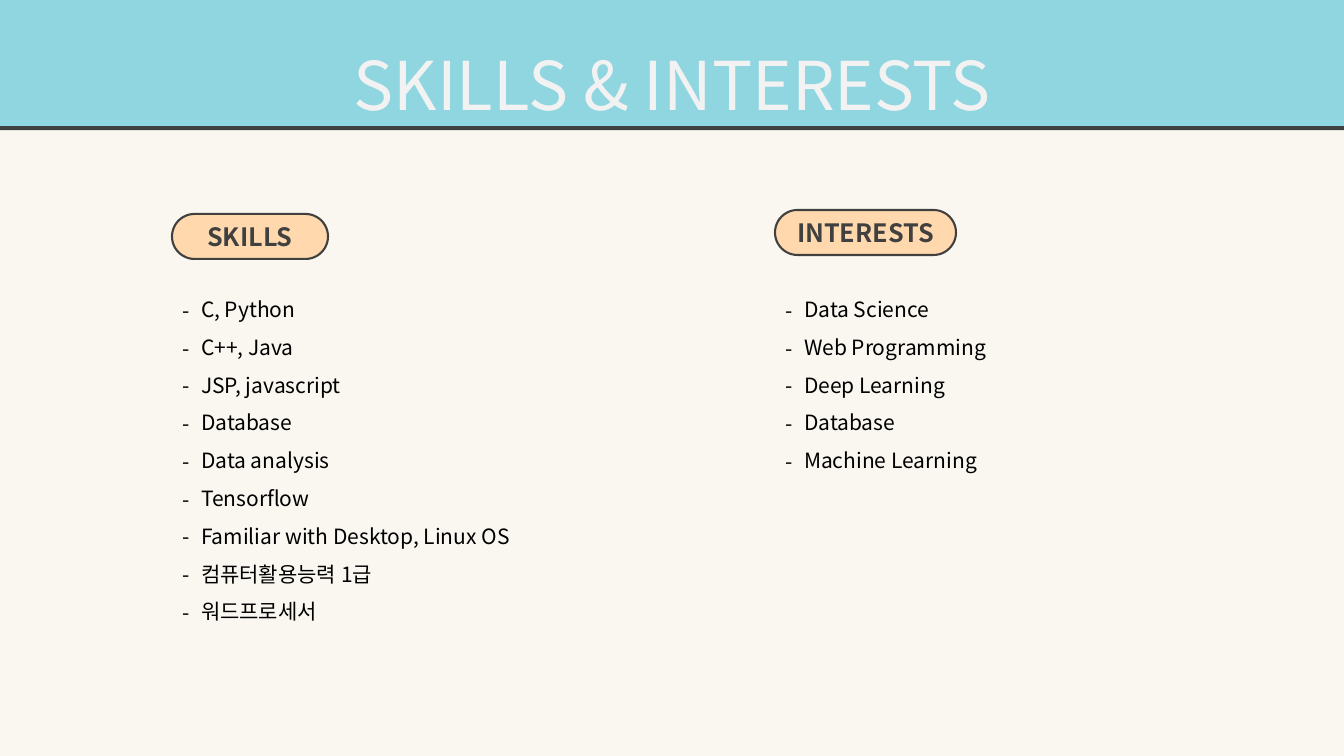
from dataclasses import dataclass

from pptx import Presentation
from pptx.dml.color import RGBColor as RGB
from pptx.enum.shapes import MSO_SHAPE as SHAPE
from pptx.enum.text import MSO_ANCHOR as ANCHOR, MSO_AUTO_SIZE as AUTO, PP_ALIGN as ALIGN
from pptx.oxml import parse_xml
from pptx.oxml.ns import nsdecls, qn
from pptx.util import Emu, Pt

SLIDE_W, SLIDE_H = 1344, 756
SCALE = 12192000 / SLIDE_W


@dataclass(frozen=True)
class Theme:
    font: str = "Noto Sans CJK KR"
    paper: RGB = RGB.from_string("F9F7EF")
    band: RGB = RGB.from_string("90D6E0")
    pill: RGB = RGB.from_string("FFD9AD")
    ink: RGB = RGB.from_string("404040")
    light: RGB = RGB.from_string("F2F2F2")
    black: RGB = RGB.from_string("000000")
    title_size: Pt = Pt(48)
    pill_size: Pt = Pt(18)
    list_size: Pt = Pt(15)


THEME = Theme()


def px(n):
    return Emu(round(n * SCALE))


def set_all(obj, values):
    for name, value in values.items():
        setattr(obj, name, value)


def place(sp, box):
    set_all(sp, dict(zip(("left", "top", "width", "height"), map(px, box))))


def fill(target, color):
    target.fill.solid()
    target.fill.fore_color.rgb = color


def write(p, text, size, color, bold=False, **para):
    set_all(p, {"space_before": Pt(0), **para})
    r = p.add_run()
    r.text = text
    set_all(r.font, {"name": THEME.font, "size": size, "bold": bold})
    r.font.color.rgb = color
    ea = parse_xml(f'<a:ea {nsdecls("a")} typeface="{THEME.font}"/>')
    r.font._element.find(qn("a:latin")).addnext(ea)


def add_header(sp, box, text):
    place(sp, box)
    fill(sp, THEME.band)
    sp._element.spPr.append(parse_xml(
        f'<a:effectLst {nsdecls("a")}><a:outerShdw dist="{Pt(3)}" dir="5400000" '
        f'algn="t" rotWithShape="0"><a:srgbClr val="{THEME.ink}"/></a:outerShdw></a:effectLst>'))
    tf = sp.text_frame
    set_all(tf, {"word_wrap": True, "auto_size": AUTO.NONE, "vertical_anchor": ANCHOR.MIDDLE})
    write(tf.paragraphs[0], text, THEME.title_size, THEME.light,
          alignment=ALIGN.CENTER, line_spacing=1.5)


def add_pill(slide, box, text):
    sp = slide.shapes.add_shape(SHAPE.ROUNDED_RECTANGLE, *map(px, box))
    sp.shadow.inherit = False
    sp.adjustments[0] = 0.5
    fill(sp, THEME.pill)
    sp.line.color.rgb = THEME.ink
    sp.line.width = Pt(1.5)
    sp.text_frame.vertical_anchor = ANCHOR.MIDDLE
    write(sp.text_frame.paragraphs[0], text, THEME.pill_size, THEME.ink, True,
          alignment=ALIGN.CENTER)


def add_list(sp, box, items):
    place(sp, box)
    tf = sp.text_frame
    set_all(tf, {"word_wrap": True, "auto_size": AUTO.NONE, "vertical_anchor": ANCHOR.TOP})
    for i, item in enumerate(items):
        p = tf.add_paragraph() if i else tf.paragraphs[0]
        pPr = p._p.get_or_add_pPr()
        pPr.set("marL", str(px(19)))
        pPr.set("indent", str(px(-19)))
        pPr.append(parse_xml(f'<a:buFont {nsdecls("a")} typeface="{THEME.font}"/>'))
        pPr.append(parse_xml(f'<a:buChar {nsdecls("a")} char="-"/>'))
        write(p, item, THEME.list_size, THEME.black, line_spacing=1.5)


def add_column(slide, body, box, heading, pill_top, pill_width, items):
    left, top, width, height = box
    add_pill(slide, (left, top + pill_top, pill_width, 45), heading)
    add_list(body, (left, top + 69, width, height - 69), items)


def main():
    prs = Presentation()
    set_all(prs, {"slide_width": px(SLIDE_W), "slide_height": px(SLIDE_H)})
    slide = prs.slides.add_slide(prs.slide_layouts[3])
    fill(slide.background, THEME.paper)
    title, skills, interests = slide.placeholders
    add_header(title, (0, 0, SLIDE_W, 126), "SKILLS & INTERESTS")
    add_column(slide, skills, (172, 210, 463, 418), "SKILLS", 4, 156, [
        "C, Python", "C++, Java", "JSP, javascript", "Database", "Data analysis",
        "Tensorflow", "Familiar with Desktop, Linux OS", "컴퓨터활용능력 1급", "워드프로세서"])
    add_column(slide, interests, (775, 210, 463, 297), "INTERESTS", 0, 181, [
        "Data Science", "Web Programming", "Deep Learning", "Database", "Machine Learning"])
    prs.save("out.pptx")


if __name__ == "__main__":
    main()
